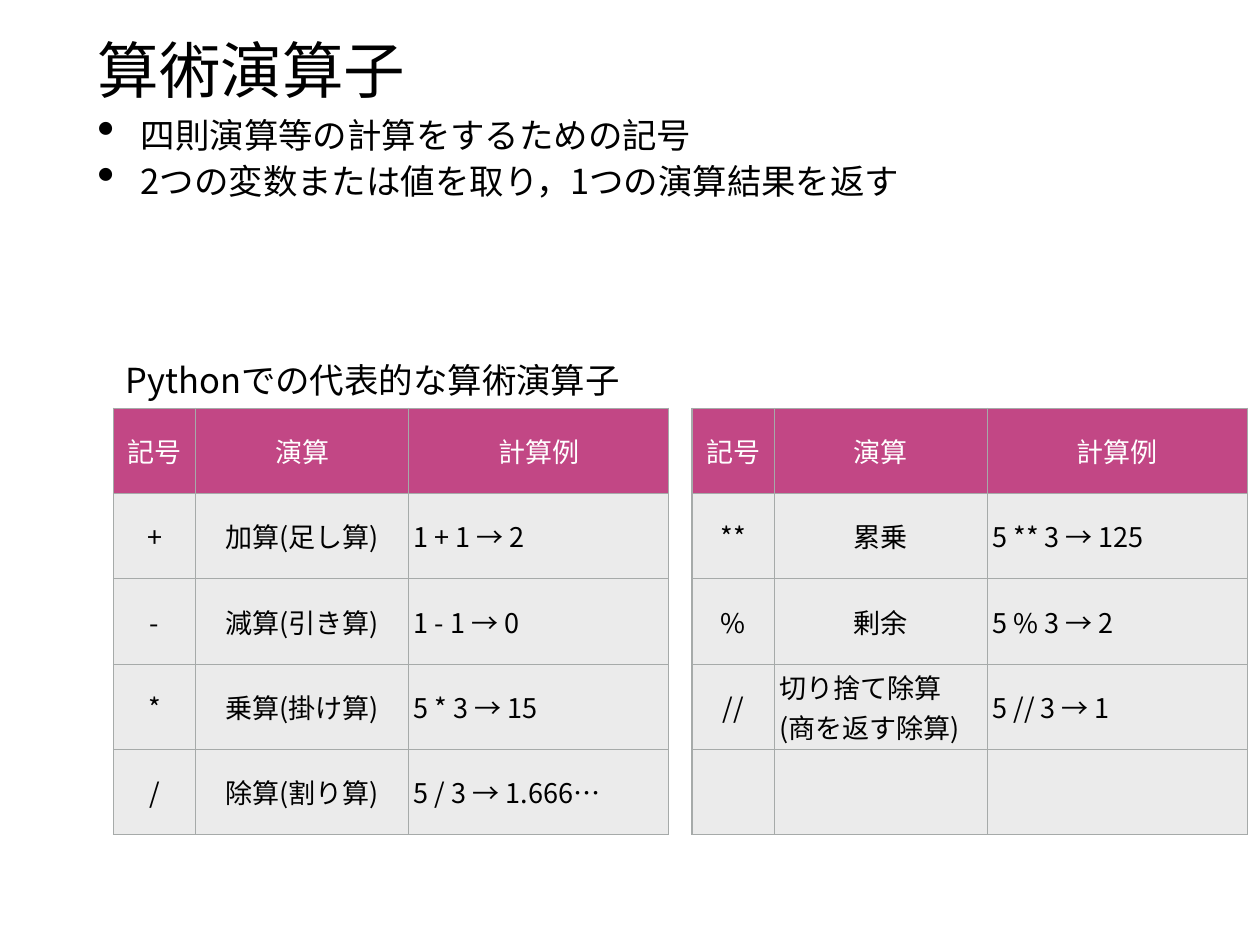
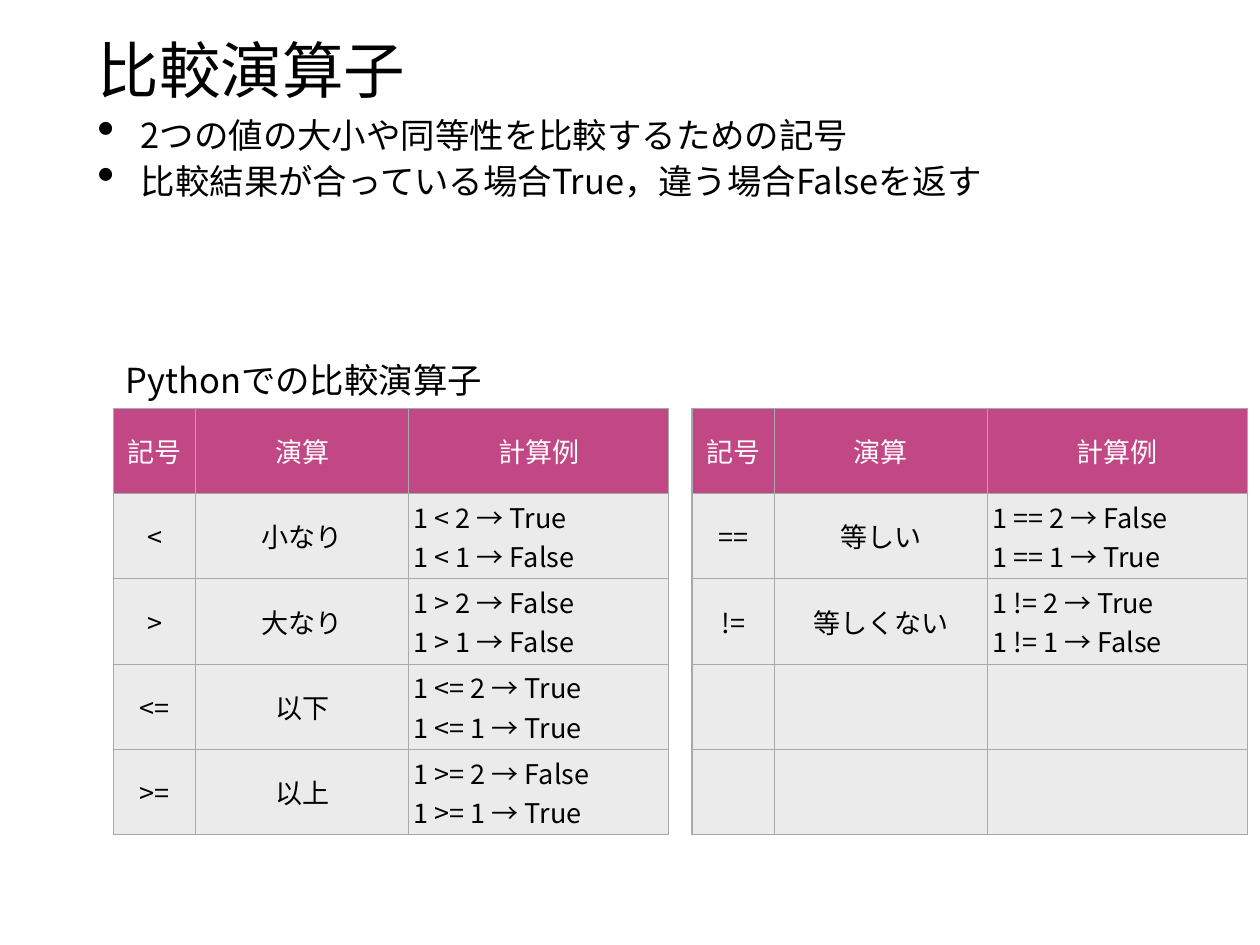
from lxml import etree
from pptx import Presentation
from pptx.dml.color import RGBColor
from pptx.enum.text import MSO_ANCHOR, PP_ALIGN
from pptx.oxml.ns import qn
from pptx.util import Inches, Pt

LEFT, CENTER = PP_ALIGN.LEFT, PP_ALIGN.CENTER
TOP, MIDDLE = MSO_ANCHOR.TOP, MSO_ANCHOR.MIDDLE

FONT = "Noto Sans CJK JP"
BLACK, WHITE = "000000", "FFFFFF"
HEADER_FILL, BODY_FILL, BORDER = "C24785", "EBEBEB", "A6AAA9"
INSET = 0.06

TITLE_BOX = (1.04, 0.28, 12.14, 1)
BULLET_BOX = (1.04, 1.31, 12.14, 2.35)
CAPTION_BOX = (1.36, 4.04, 6.4, 0.5)
TABLE_LEFTS, TABLE_TOP = (1.28, 7.81), 4.61
COLUMN_WIDTHS = (0.93, 2.4, 2.94)
ROW_COUNT, ROW_HEIGHT = 5, 0.963
HEADER = ("記号", "演算", "計算例")

SLIDES = [
    {
        "title": "算術演算子",
        "bullets": ["四則演算等の計算をするための記号",
                    "2つの変数または値を取り，1つの演算結果を返す"],
        "caption": "Pythonでの代表的な算術演算子",
        "tables": [
            [("+", "加算(足し算)", "1 + 1 → 2"),
             ("-", "減算(引き算)", "1 - 1 → 0"),
             ("*", "乗算(掛け算)", "5 * 3 → 15"),
             ("/", "除算(割り算)", "5 / 3 → 1.666…")],
            [("**", "累乗", "5 ** 3 → 125"),
             ("%", "剰余", "5 % 3 → 2"),
             ("//", "切り捨て除算\v(商を返す除算)", "5 // 3 → 1")],
        ],
    },
    {
        "title": "比較演算子",
        "bullets": ["2つの値の大小や同等性を比較するための記号",
                    "比較結果が合っている場合True，違う場合Falseを返す"],
        "caption": "Pythonでの比較演算子",
        "tables": [
            [("<", "小なり", "1 < 2 → True\v1 < 1 → False"),
             (">", "大なり", "1 > 2 → False\v1 > 1 → False"),
             ("<=", "以下", "1 <= 2 → True\v1 <= 1 → True"),
             (">=", "以上", "1 >= 2 → False\v1 >= 1 → True")],
            [("==", "等しい", "1 == 2 → False\v1 == 1 → True"),
             ("!=", "等しくない", "1 != 2 → True\v1 != 1 → False")],
        ],
    },
]


def color(hex_string):
    return RGBColor.from_string(hex_string)


def set_attributes(target, values):
    for name, value in values.items():
        setattr(target, name, value)


def write_paragraph(paragraph, text, size, text_color=BLACK, **layout):
    paragraph.text = text
    set_attributes(paragraph, layout)
    for run in paragraph.runs:
        set_attributes(run.font, {"size": Pt(size), "name": FONT, "bold": False})
        run.font.color.rgb = color(text_color)
        east_asian = etree.SubElement(run.font._element, qn("a:ea"))
        east_asian.set("typeface", FONT)


def format_frame(frame, anchor):
    margins = ("margin_left", "margin_top", "margin_right", "margin_bottom")
    set_attributes(frame, dict.fromkeys(margins, Inches(INSET)))
    set_attributes(frame, {"word_wrap": True, "vertical_anchor": anchor})


def add_frame(slide, box, anchor):
    frame = slide.shapes.add_textbox(*map(Inches, box)).text_frame
    format_frame(frame, anchor)
    return frame


def add_title(slide, box, text):
    title = slide.shapes.title
    names = ("left", "top", "width", "height")
    set_attributes(title, dict(zip(names, map(Inches, box))))
    format_frame(title.text_frame, MIDDLE)
    write_paragraph(title.text_frame.paragraphs[0], text, 50, alignment=LEFT)


def add_bullet(paragraph):
    properties = paragraph._p.get_or_add_pPr()
    properties.set("marL", str(Inches(0.49)))
    properties.set("indent", str(-Inches(0.49)))
    etree.SubElement(properties, qn("a:buSzPct")).set("val", "145000")
    etree.SubElement(properties, qn("a:buChar")).set("char", "•")


def add_bullets(slide, box, lines):
    frame = add_frame(slide, box, TOP)
    for index, line in enumerate(lines):
        paragraph = frame.add_paragraph() if index else frame.paragraphs[0]
        add_bullet(paragraph)
        write_paragraph(paragraph, line, 28, line_spacing=0.82,
                        space_before=Pt(10 if index else 0))


def add_caption(slide, box, text):
    frame = add_frame(slide, box, MIDDLE)
    write_paragraph(frame.paragraphs[0], text, 28)


def add_borders(cell):
    properties = cell._tc.get_or_add_tcPr()
    for index, side in enumerate(("lnL", "lnR", "lnT", "lnB")):
        line = etree.Element(qn(f"a:{side}"), w=str(Pt(1)))
        fill = etree.SubElement(line, qn("a:solidFill"))
        etree.SubElement(fill, qn("a:srgbClr")).set("val", BORDER)
        properties.insert(index, line)


def format_cell(cell, text, fill, text_color, alignment):
    set_attributes(cell, {
        "margin_left": Inches(INSET), "margin_right": Inches(INSET),
        "margin_top": Inches(0.03), "margin_bottom": Inches(0.03),
        "vertical_anchor": MIDDLE,
    })
    cell.fill.solid()
    cell.fill.fore_color.rgb = color(fill)
    add_borders(cell)
    write_paragraph(cell.text_frame.paragraphs[0], text, 22, text_color,
                    alignment=alignment)


def add_operator_table(slide, left, top, operators):
    """Draw the header and operators, filling up with empty rows."""
    empty_rows = [("", "", "")] * (ROW_COUNT - 1 - len(operators))
    rows = [HEADER, *operators, *empty_rows]
    table = slide.shapes.add_table(
        ROW_COUNT, len(HEADER), Inches(left), Inches(top),
        Inches(sum(COLUMN_WIDTHS)), Inches(ROW_COUNT * ROW_HEIGHT)).table
    set_attributes(table, {"first_row": False, "horz_banding": False})
    for column, width in zip(table.columns, COLUMN_WIDTHS):
        column.width = Inches(width)
    for row_index, row in enumerate(rows):
        table.rows[row_index].height = Inches(ROW_HEIGHT)
        is_header = row_index == 0
        fill, text_color = (HEADER_FILL, WHITE) if is_header else (BODY_FILL, BLACK)
        for column_index, text in enumerate(row):
            is_example = column_index == 2 and not is_header
            alignment = LEFT if is_example or "\v" in text else CENTER
            format_cell(table.cell(row_index, column_index), text, fill,
                        text_color, alignment)


def add_operator_slide(presentation, content):
    slide = presentation.slides.add_slide(presentation.slide_layouts[5])
    add_title(slide, TITLE_BOX, content["title"])
    add_bullets(slide, BULLET_BOX, content["bullets"])
    add_caption(slide, CAPTION_BOX, content["caption"])
    for left, operators in zip(TABLE_LEFTS, content["tables"]):
        add_operator_table(slide, left, TABLE_TOP, operators)


def main():
    presentation = Presentation()
    presentation.slide_width = Inches(14.22)
    presentation.slide_height = Inches(10.67)
    for content in SLIDES:
        add_operator_slide(presentation, content)
    presentation.save("out.pptx")


if __name__ == "__main__":
    main()
